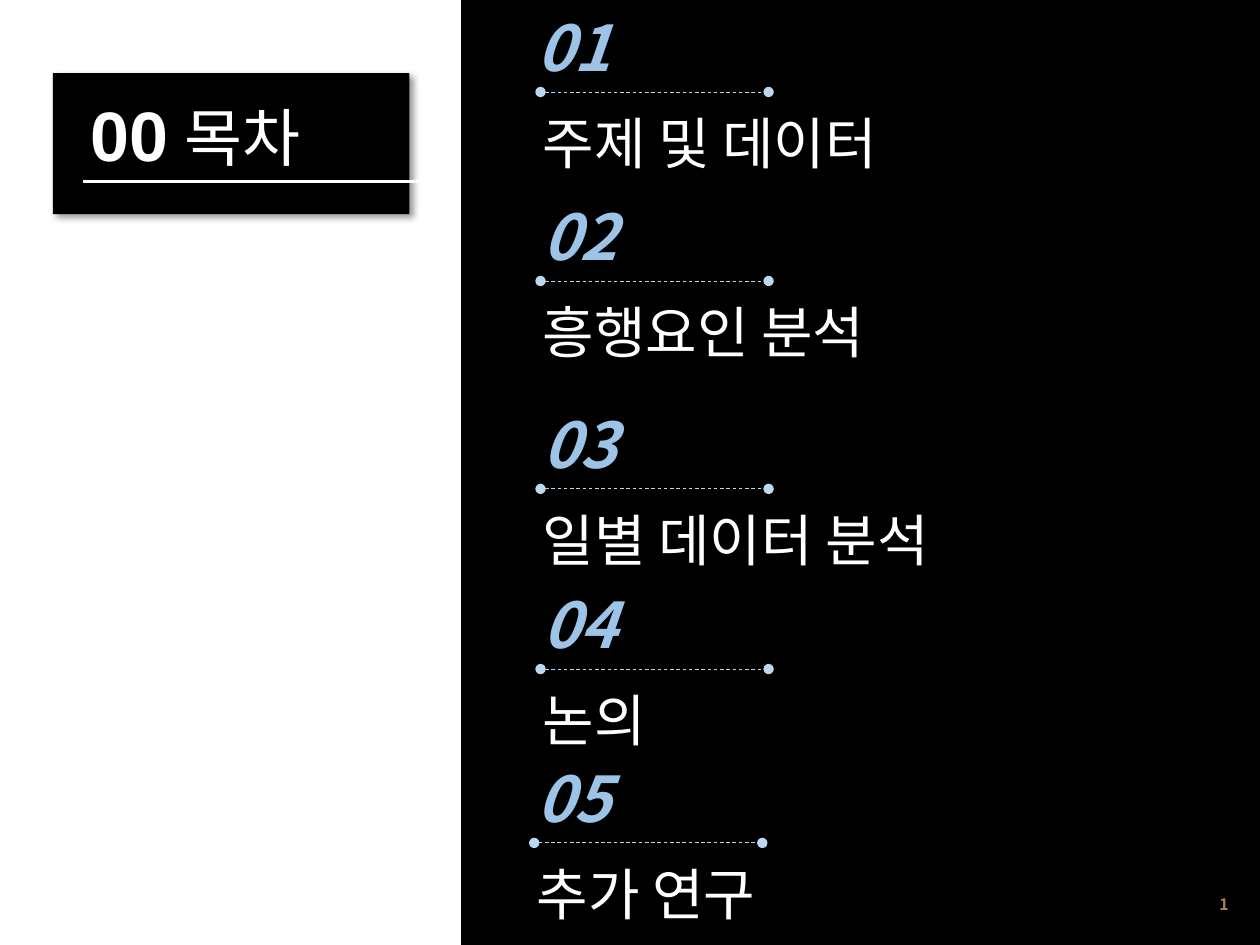
from lxml.etree import SubElement
from pptx import Presentation
from pptx.dml.color import RGBColor
from pptx.enum.dml import MSO_LINE
from pptx.enum.shapes import MSO_CONNECTOR, MSO_SHAPE
from pptx.enum.text import MSO_ANCHOR, MSO_AUTO_SIZE, PP_ALIGN
from pptx.oxml.ns import qn
from pptx.util import Inches, Pt

BLACK, WHITE = "000000", "FFFFFF"
NUMBER_BLUE, LINE_BLUE, BROWN = "9DC3E6", "BDD7EE", "A8815A"
LATIN, KOREAN = "Arial", "Noto Sans CJK KR"


def color(value):
    return RGBColor.from_string(value)


class SlideBuilder:
    def __init__(self, slide):
        self.slide = slide

    def panel(self, left, top, width, height, fill):
        shape = self.slide.shapes.add_shape(
            MSO_SHAPE.RECTANGLE, Inches(left), Inches(top), Inches(width), Inches(height))
        shape.shadow.inherit = False
        shape.fill.solid()
        shape.fill.fore_color.rgb = color(fill)
        shape.line.fill.background()
        return shape

    def drop_shadow(self, shape):
        effects = shape.element.spPr.find(qn("a:effectLst"))
        shadow = SubElement(effects, qn("a:outerShdw"), blurRad=str(Pt(4)), dist=str(Pt(3)),
                            dir="2700000", algn="tl", rotWithShape="0")
        tint = SubElement(shadow, qn("a:srgbClr"), val=BLACK)
        SubElement(tint, qn("a:alpha"), val="40000")

    def text(self, left, top, width, height, runs, fill, font_name,
             align=PP_ALIGN.LEFT, italic=False, grow=True):
        box = self.slide.shapes.add_textbox(
            Inches(left), Inches(top), Inches(width), Inches(height))
        frame = box.text_frame
        frame.word_wrap = True
        if grow:
            frame.auto_size = MSO_AUTO_SIZE.SHAPE_TO_FIT_TEXT
        else:
            frame.vertical_anchor = MSO_ANCHOR.MIDDLE
        paragraph = frame.paragraphs[0]
        paragraph.alignment = align
        paragraph.font.name = font_name
        paragraph.font.color.rgb = color(fill)
        paragraph.font.italic = italic
        for content, size, bold in runs:
            run = paragraph.add_run()
            run.text = content
            run.font.size = Pt(size)
            run.font.bold = bold

    def line(self, left, right, y, stroke, width, dotted_ends=False):
        connector = self.slide.shapes.add_connector(
            MSO_CONNECTOR.STRAIGHT, Inches(left), Inches(y), Inches(right), Inches(y))
        connector.line.color.rgb = color(stroke)
        connector.line.width = Pt(width)
        properties = connector.element.spPr
        if dotted_ends:
            connector.line.dash_style = MSO_LINE.DASH
            for end in ("a:headEnd", "a:tailEnd"):
                SubElement(properties.find(qn("a:ln")), qn(end), type="oval")
        SubElement(properties, qn("a:effectLst"))

    def agenda_entry(self, number, title, left, number_left, line_y, title_width):
        self.text(number_left, line_y - 0.71, 1.26, 0.71, [(number, 36, True)],
                  NUMBER_BLUE, KOREAN, italic=True)
        self.line(left + 0.08, left + 1.89, line_y, LINE_BLUE, 0.5, dotted_ends=True)
        self.text(left, line_y + 0.08, title_width, 0.64, [(title, 32, False)], WHITE, LATIN)


def main():
    presentation = Presentation()
    presentation.slide_width = Inches(10)
    presentation.slide_height = Inches(7.5)
    builder = SlideBuilder(presentation.slides.add_slide(presentation.slide_layouts[6]))

    builder.panel(3.66, 0, 6.34, 7.5, BLACK)
    builder.text(7.52, 6.98, 2.33, 0.4, [("1", 9, True)], BROWN, KOREAN,
                 align=PP_ALIGN.RIGHT, grow=False)

    builder.drop_shadow(builder.panel(0.42, 0.58, 2.83, 1.12, BLACK))
    builder.text(-0.12, 0.68, 2.6, 0.77,
                 [("00", 40, True), (" ", 32, True), ("목차", 36, False)],
                 WHITE, LATIN, align=PP_ALIGN.RIGHT)
    builder.line(0.66, 3.35, 1.44, WHITE, 1.5)

    entries = [
        ("주제 및 데이터", 4.21, 4.16, 0.73, 3.47),
        ("흥행요인 분석", 4.21, 4.21, 2.23, 3.54),
        ("일별 데이터 분석", 4.21, 4.21, 3.88, 4.1),
        ("논의", 4.21, 4.21, 5.31, 2.6),
        ("추가 연구", 4.16, 4.16, 6.69, 2.6),
    ]
    for index, entry in enumerate(entries, start=1):
        builder.agenda_entry(f"{index:02}", *entry)

    presentation.save("out.pptx")


if __name__ == "__main__":
    main()
